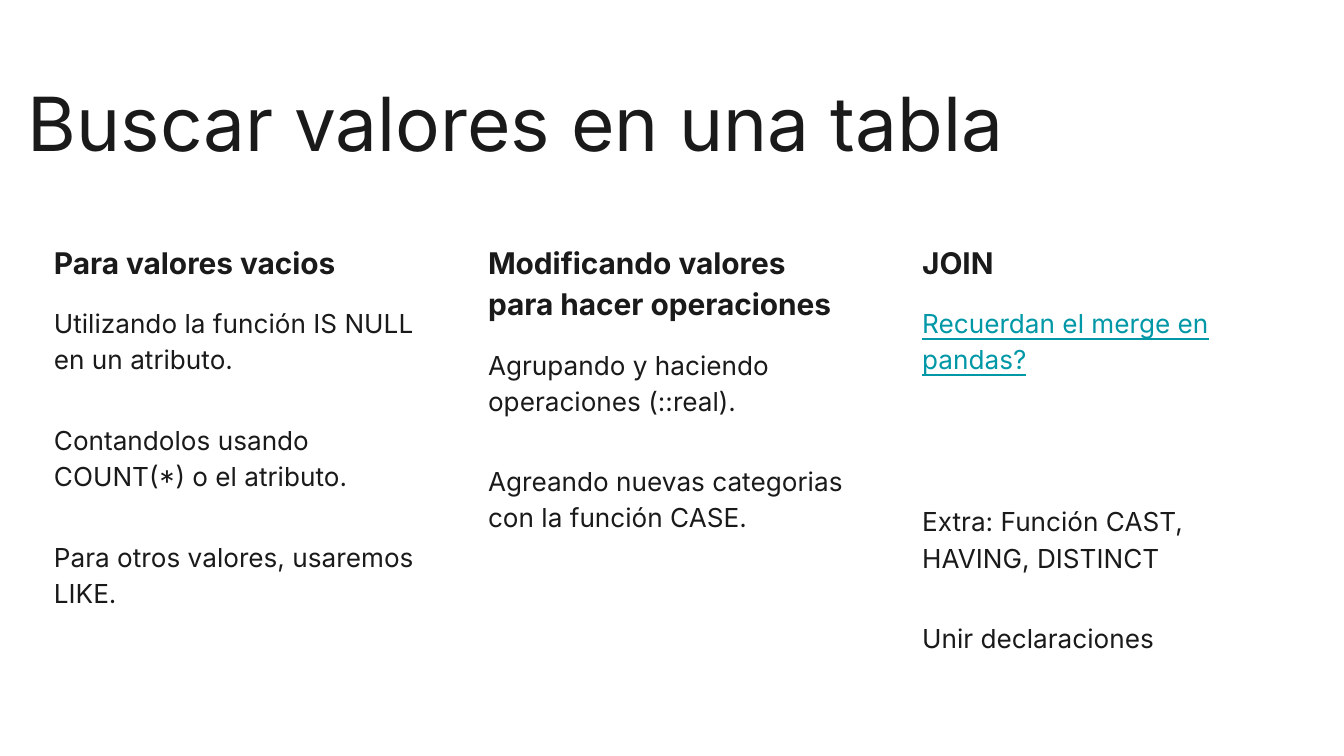
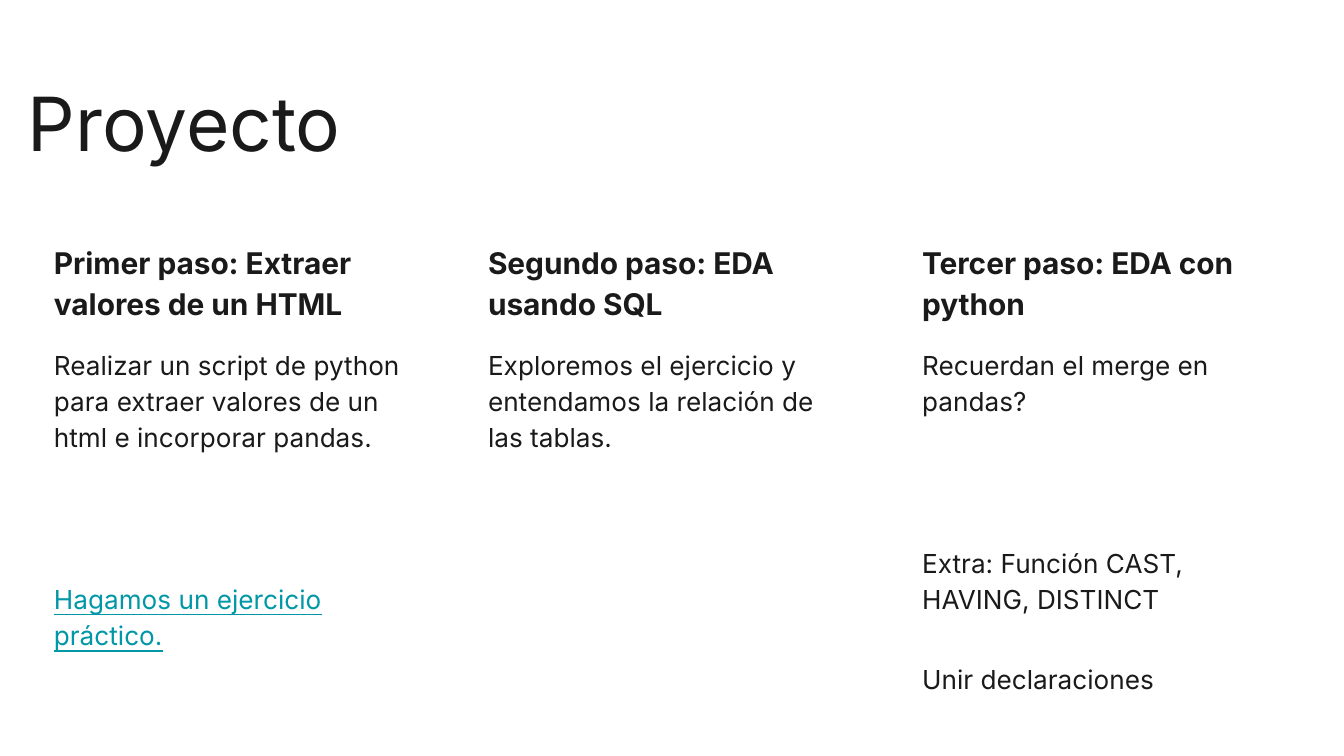
from dataclasses import dataclass
from typing import Any

from pptx import Presentation
from pptx.dml.color import RGBColor
from pptx.enum.shapes import MSO_SHAPE
from pptx.enum.text import MSO_ANCHOR, PP_ALIGN
from pptx.slide import Slide
from pptx.text.text import TextFrame
from pptx.util import Inches, Pt


@dataclass(frozen=True)
class Theme:
    font: str = "Inter"
    ink: RGBColor = RGBColor(0x1A, 0x1A, 0x1A)
    link: RGBColor = RGBColor(0x00, 0x97, 0xA7)
    paper: RGBColor = RGBColor(0xFF, 0xFF, 0xFF)
    title_size: int = 40
    heading_size: int = 16
    body_size: int = 14
    line_spacing: float = 1.15
    body_space: int = 12
    section_space: float = 55.5


@dataclass(frozen=True)
class Grid:
    """Three equal columns on a 16:9 slide, in inches."""
    width: float = 10
    height: float = 10 * 9 / 16
    columns: int = 3
    margin: float = 0.25
    gutter: float = 0.19
    top: float = 1.63
    row_height: float = 3.74

    @property
    def column_width(self) -> float:
        free = self.width - 2 * self.margin - (self.columns - 1) * self.gutter
        return free / self.columns

    def column_left(self, column: int) -> float:
        return self.margin + column * (self.column_width + self.gutter)

    def across(self, percent: float) -> int:
        return Inches(self.width * percent / 100)

    def down(self, percent: float) -> int:
        return Inches(self.height * percent / 100)


@dataclass(frozen=True)
class Line:
    text: str
    linked: bool = False
    new_section: bool = False


@dataclass(frozen=True)
class Card:
    heading: str
    lines: tuple[Line, ...]


@dataclass(frozen=True)
class Topic:
    title: str
    cards: tuple[Card, ...]


THEME = Theme()
GRID = Grid()
INSET = Inches(0.1)

# Content
EXTRAS = (
    Line("Extra: Función CAST, HAVING, DISTINCT", new_section=True),
    Line("Unir declaraciones"),
)
MERGE = "Recuerdan el merge en pandas?"

TOPICS = (
    Topic("Buscar valores en una tabla", (
        Card("Para valores vacios", (
            Line("Utilizando la función IS NULL en un atributo."),
            Line("Contandolos usando COUNT(*) o el atributo."),
            Line("Para otros valores, usaremos LIKE."),
        )),
        Card("Modificando valores para hacer operaciones", (
            Line("Agrupando y haciendo operaciones (::real)."),
            Line("Agreando nuevas categorias con la función CASE."),
        )),
        Card("JOIN", (Line(MERGE, linked=True), *EXTRAS)),
    )),
    Topic("Proyecto", (
        Card("Primer paso: Extraer valores de un HTML", (
            Line("Realizar un script de python para extraer valores de un "
                 "html e incorporar pandas."),
            Line("Hagamos un ejercicio práctico.", linked=True, new_section=True),
        )),
        Card("Segundo paso: EDA usando SQL", (
            Line("Exploremos el ejercicio y entendamos la relación de las tablas."),
        )),
        Card("Tercer paso: EDA con python", (Line(MERGE), *EXTRAS)),
    )),
)


# Text helpers
def apply(target: Any, values: dict[str, Any]) -> None:
    for name, value in values.items():
        setattr(target, name, value)


def set_frame(frame: TextFrame, anchor: MSO_ANCHOR, bottom: int) -> None:
    apply(frame, {
        "word_wrap": True, "vertical_anchor": anchor,
        "margin_left": INSET, "margin_right": INSET,
        "margin_top": INSET, "margin_bottom": bottom,
    })


def write(paragraph: Any, text: str, size: int, bold: bool = False,
          linked: bool = False, **spacing: Any) -> None:
    apply(paragraph, {"alignment": PP_ALIGN.LEFT, **spacing})
    run = paragraph.add_run()
    run.text = text
    apply(run.font, {"name": THEME.font, "size": Pt(size),
                     "bold": bold, "underline": linked})
    run.font.color.rgb = THEME.link if linked else THEME.ink


# Slide parts
def draw_title(slide: Slide, title: str) -> None:
    heading = slide.shapes.add_textbox(
        GRID.across(1.1), GRID.down(8.2), GRID.across(93.2), GRID.down(15.65))
    set_frame(heading.text_frame, MSO_ANCHOR.BOTTOM, bottom=INSET)
    write(heading.text_frame.paragraphs[0], title, THEME.title_size)


def draw_card(slide: Slide, card: Card, column: int) -> None:
    panel = slide.shapes.add_shape(
        MSO_SHAPE.ROUNDED_RECTANGLE,
        Inches(GRID.column_left(column)), Inches(GRID.top),
        Inches(GRID.column_width), Inches(GRID.row_height))
    panel.adjustments[0] = 0.06
    panel.shadow.inherit = False
    panel.fill.solid()
    panel.fill.fore_color.rgb = THEME.paper
    panel.line.fill.background()

    frame = panel.text_frame
    set_frame(frame, MSO_ANCHOR.TOP, bottom=0)
    write(frame.paragraphs[0], card.heading, THEME.heading_size, bold=True,
          line_spacing=THEME.line_spacing)
    for line in card.lines:
        before = THEME.section_space if line.new_section else THEME.body_space
        write(frame.add_paragraph(), line.text, THEME.body_size,
              linked=line.linked, line_spacing=THEME.line_spacing,
              space_before=Pt(before), space_after=Pt(THEME.body_space))


def main() -> None:
    deck = Presentation()
    deck.slide_width, deck.slide_height = Inches(GRID.width), Inches(GRID.height)
    for topic in TOPICS:
        slide = deck.slides.add_slide(deck.slide_layouts[6])
        slide.background.fill.solid()
        slide.background.fill.fore_color.rgb = THEME.paper
        draw_title(slide, topic.title)
        for column, card in enumerate(topic.cards):
            draw_card(slide, card, column)
    deck.save("out.pptx")


if __name__ == "__main__":
    main()
